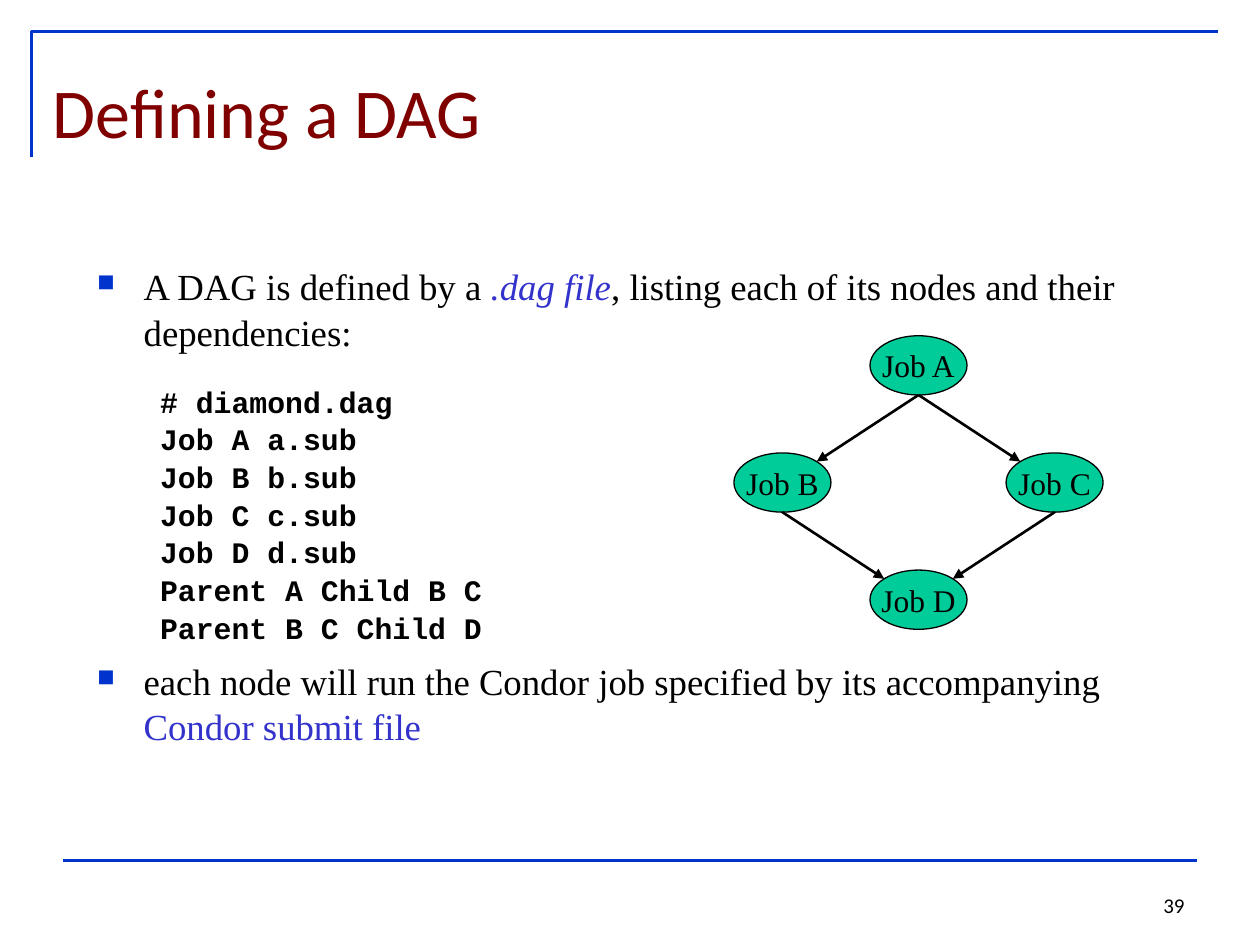
from pptx import Presentation, util as u
from pptx.dml.color import RGBColor
from pptx.enum import shapes, text
from pptx.oxml.ns import qn
from lxml import etree

# Content
TITLE = "Defining a DAG"
NUMBER = "39"
INTRO = [("A DAG is defined by a ", {}),
         (".dag file", {"color": "link", "italic": True}),
         (", listing each of its nodes and their dependencies:", {})]
CODE = ["# diamond.dag", "Job A a.sub", "Job B b.sub", "Job C c.sub",
        "Job D d.sub", "Parent A Child B C", "Parent B C Child D"]
CLOSE = [("each node will run the Condor job specified by its accompanying ", {}),
         ("Condor submit file", {"color": "link"})]
JOBS = {"A": (0, 0), "B": (-1, 1), "C": (1, 1), "D": (0, 2)}  # column, row
EDGES = ["AB", "AC", "CD", "BD"]

COLORS = {"rule": "0033CC", "title": "800000", "link": "3333CC",
          "node": "00CC99", "ink": "000000"}
SERIF, SANS, MONO = "Times New Roman", "Calibri", "Courier New"

# Diagram grid, in inches
WIDE, HIGH = 0.77, 0.47
MID_X, TOP_Y = 7.29, 2.9
STEP_X, STEP_Y = 1.08, 0.93
DIAG = 0.5 ** 0.5 / 2  # ellipse point at 45 degrees, as share of its size

deck = Presentation()
deck.slide_width, deck.slide_height = u.Inches(10), u.Inches(7.5)
slide = deck.slides.add_slide(deck.slide_layouts[6])
parts = slide.shapes


def rgb(name):
    return RGBColor.from_string(COLORS[name])


def write(para, words, size=21, font=SERIF, color="ink", bold=False, italic=False):
    run = para.add_run()
    run.text = words
    face = run.font
    face.size, face.name = u.Pt(size), font
    face.bold, face.italic = bold, italic
    face.color.rgb = rgb(color)


def setup(frame, anchor, side=0, edge=0, wrap=True):
    frame.word_wrap = wrap
    frame.vertical_anchor = anchor
    frame.margin_left = frame.margin_right = u.Inches(side)
    frame.margin_top = frame.margin_bottom = u.Inches(edge)
    return frame.paragraphs[0]


def add_box(x, y, w, h):
    return parts.add_textbox(*map(u.Inches, (x, y, w, h))).text_frame


def indent(para, left, hang, bullet=False):
    props = para._p.get_or_add_pPr()
    props.set("marL", str(u.Inches(left)))
    props.set("indent", str(u.Inches(-hang)))
    if bullet:
        color = etree.SubElement(props, qn("a:buClr"))
        etree.SubElement(color, qn("a:srgbClr"), val=COLORS["rule"])
        etree.SubElement(props, qn("a:buSzPct"), val="65000")
        etree.SubElement(props, qn("a:buChar"), char="■")
    else:
        etree.SubElement(props, qn("a:buNone"))


def add_line(start, end, color, width, arrow=False):
    ends = map(u.Inches, (*start, *end))
    line = parts.add_connector(shapes.MSO_CONNECTOR.STRAIGHT, *ends)
    line.line.color.rgb = rgb(color)
    line.line.width = u.Pt(width)
    if arrow:
        etree.SubElement(line.line._get_or_add_ln(), qn("a:tailEnd"), type="triangle")
    etree.SubElement(line._element.spPr, qn("a:effectLst"))


def add_bullet(para, runs):
    indent(para, 0.37, 0.37, bullet=True)
    para.line_spacing = 1.04
    for words, style in runs:
        write(para, words, **style)


# Frame rules
pen = parts.build_freeform(u.Inches(0.25), u.Inches(1.25))
pen.add_line_segments([(u.Inches(0.25), u.Inches(0.25)),
                       (u.Inches(9.67), u.Inches(0.25))], close=False)
corner = pen.convert_to_shape()
corner.shadow.inherit = False
corner.fill.background()
corner.line.color.rgb = rgb("rule")
corner.line.width = u.Pt(2)
add_line((0.5, 6.83), (9.5, 6.83), "rule", 1.5)

# Body text
body = add_box(0.77, 2.08, 8.49, 4.6)
add_bullet(setup(body, text.MSO_ANCHOR.TOP), INTRO)
for i, words in enumerate(CODE):
    para = body.add_paragraph()
    indent(para, 0.81, 0.31)
    para.line_spacing = 0.7
    para.space_before = u.Pt(7.25 if i else 22.5)
    write(para, words, size=17, font=MONO, bold=True)
last = body.add_paragraph()
add_bullet(last, CLOSE)
last.space_before = u.Pt(7)

# Title
head = setup(add_box(0.42, 0.48, 9.25, 0.79), text.MSO_ANCHOR.MIDDLE)
write(head, TITLE, size=40, font=SANS, color="title")

# Job nodes
spots = {job: (MID_X + col * STEP_X, TOP_Y + row * STEP_Y)
         for job, (col, row) in JOBS.items()}
for job, (x, y) in spots.items():
    node = parts.add_shape(shapes.MSO_SHAPE.OVAL, u.Inches(x - WIDE / 2),
                           u.Inches(y - HIGH / 2), u.Inches(WIDE), u.Inches(HIGH))
    node.shadow.inherit = False
    node.fill.solid()
    node.fill.fore_color.rgb = rgb("node")
    node.line.color.rgb = rgb("ink")
    node.line.width = u.Pt(0.75)
    label = setup(node.text_frame, text.MSO_ANCHOR.MIDDLE, 0.1, 0.05, wrap=False)
    label.alignment = text.PP_ALIGN.CENTER
    write(label, f"Job {job}", size=18)

# Arrows from the foot of a parent to the near shoulder of its child
for parent, child in EDGES:
    (px, py), (cx, cy) = spots[parent], spots[child]
    side = 1 if px > cx else -1
    add_line((px, py + HIGH / 2), (cx + side * WIDE * DIAG, cy - HIGH * DIAG),
             "ink", 1.5, arrow=True)

# Slide number
foot = setup(add_box(7.83, 6.83, 1.67, 0.5), text.MSO_ANCHOR.BOTTOM, 0.1, 0.05)
foot.alignment = text.PP_ALIGN.RIGHT
write(foot, NUMBER, size=12, font=SANS)

deck.save("out.pptx")
